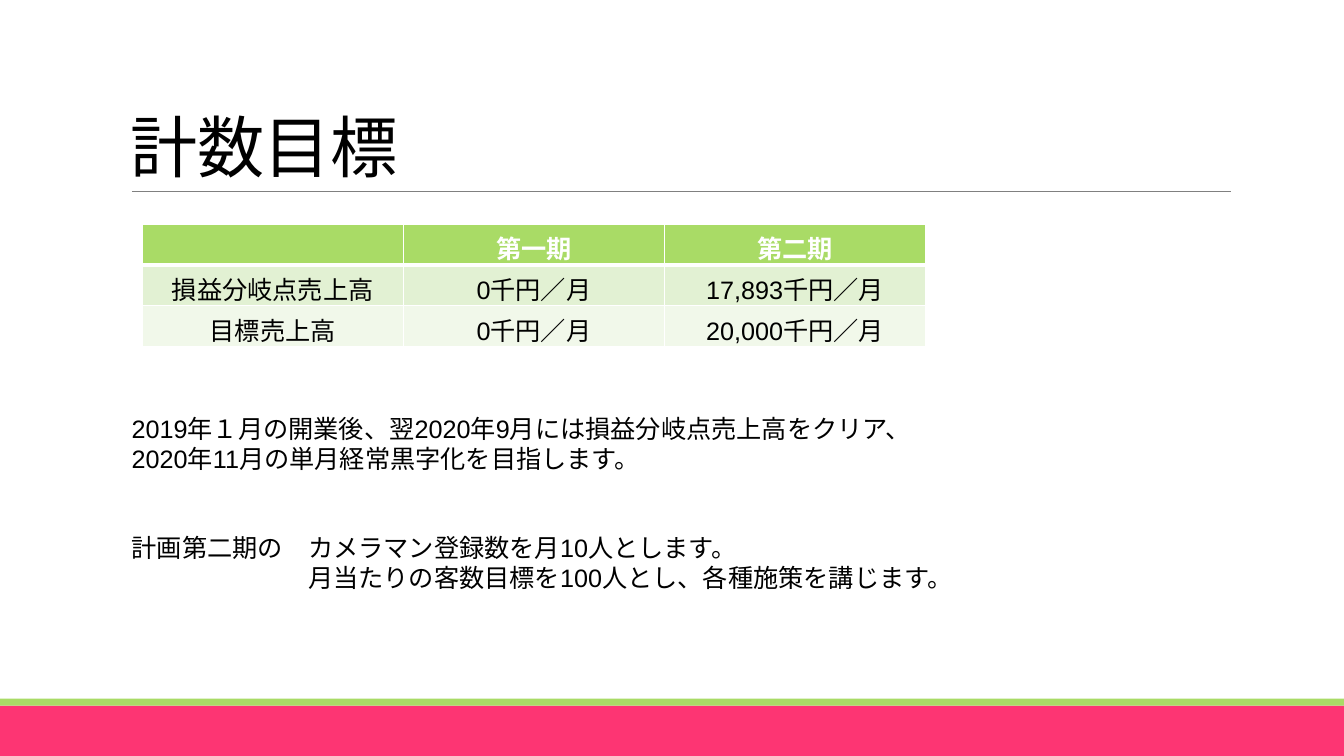
from lxml.etree import SubElement
from pptx import Presentation
from pptx.dml.color import RGBColor
from pptx.enum.lang import MSO_LANGUAGE_ID
from pptx.enum.shapes import MSO_CONNECTOR, MSO_SHAPE
from pptx.enum.text import MSO_ANCHOR, PP_ALIGN
from pptx.oxml.ns import qn
from pptx.util import Pt

WHITE = RGBColor(0xFF, 0xFF, 0xFF)
BLACK = RGBColor(0, 0, 0)
GRAY = RGBColor(0x80, 0x80, 0x80)
PINK = RGBColor(0xFD, 0x35, 0x73)
GREEN = RGBColor(0xA9, 0xDB, 0x66)
ROW_FILLS = [GREEN, RGBColor(0xE2, 0xF1, 0xD3), RGBColor(0xF1, 0xF8, 0xEA)]
WIDTH, HEIGHT = 960, 540
TARGETS = [
    ["", "第一期", "第二期"],
    ["損益分岐点売上高", "0千円／月", "17,893千円／月"],
    ["目標売上高", "0千円／月", "20,000千円／月"],
]


def write(paragraph, text, font="Arial", size=18, color=BLACK, bold=False,
          align=PP_ALIGN.LEFT, line_spacing=1.0, tracking=0, indent=0):
    """Put formatted text into a paragraph."""
    paragraph.alignment = align
    paragraph.line_spacing = line_spacing
    if indent:
        properties = paragraph._p.get_or_add_pPr()
        properties.set("marL", str(Pt(indent)))
        properties.set("indent", "0")
    paragraph.font.size = Pt(size)
    if not text:
        SubElement(paragraph._p, qn("a:endParaRPr"), sz=str(size * 100))
        return
    run = paragraph.add_run()
    run.text = text
    run.font.name = font
    run.font.size = Pt(size)
    run.font.bold = bold
    run.font.color.rgb = color
    run.font.language_id = MSO_LANGUAGE_ID.JAPANESE
    if tracking:
        run._r.get_or_add_rPr().set("spc", str(int(tracking * 100)))


class SlideBuilder:
    """Hold the slide and its shared style, and add elements to it."""

    def __init__(self, slide, border_color=WHITE):
        self.slide = slide
        self.border_color = border_color

    def band(self, top, height, color):
        shape = self.slide.shapes.add_shape(
            MSO_SHAPE.RECTANGLE, 0, Pt(top), Pt(WIDTH), Pt(height))
        shape.shadow.inherit = False
        shape.fill.solid()
        shape.fill.fore_color.rgb = color
        shape.line.fill.background()

    def rule(self, left, right, top):
        line = self.slide.shapes.add_connector(
            MSO_CONNECTOR.STRAIGHT, Pt(left), Pt(top), Pt(right), Pt(top))
        line.line.color.rgb = GRAY
        line.line.width = Pt(0.5)
        SubElement(line._element.spPr, qn("a:effectLst"))

    def text(self, left, top, width, height, lines, anchor=MSO_ANCHOR.TOP,
             indents=(0, 0), **style):
        box = self.slide.shapes.add_textbox(
            Pt(left), Pt(top), Pt(width), Pt(height))
        frame = box.text_frame
        frame.word_wrap = True
        frame.vertical_anchor = anchor
        for index, (line, indent) in enumerate(zip(lines, indents)):
            paragraph = frame.add_paragraph() if index else frame.paragraphs[0]
            write(paragraph, line, indent=indent, **style)

    def border(self, cell, side, width):
        line = SubElement(cell._tc.get_or_add_tcPr(), qn(f"a:ln{side}"),
                          w=str(Pt(width)))
        fill = SubElement(line, qn("a:solidFill"))
        SubElement(fill, qn("a:srgbClr"), val=str(self.border_color))

    def table(self, left, top, column_width, row_height, rows):
        columns = len(rows[0])
        table = self.slide.shapes.add_table(
            len(rows), columns, Pt(left), Pt(top),
            Pt(column_width * columns), Pt(row_height * len(rows))).table
        for row, values in enumerate(rows):
            header = row == 0
            for column, value in enumerate(values):
                cell = table.cell(row, column)
                for side in "LRTB":
                    thick = (header and side == "B") or (row == 1 and side == "T")
                    self.border(cell, side, 3 if thick else 1)
                cell.fill.solid()
                cell.fill.fore_color.rgb = ROW_FILLS[row]
                write(cell.text_frame.paragraphs[0], value, bold=header,
                      color=WHITE if header else BLACK, align=PP_ALIGN.CENTER)


presentation = Presentation()
presentation.slide_width, presentation.slide_height = Pt(WIDTH), Pt(HEIGHT)
builder = SlideBuilder(
    presentation.slides.add_slide(presentation.slide_layouts[6]))

builder.band(504, 36, PINK)
builder.band(499, 5, GREEN)
builder.rule(94.3, 879, 136.6)
builder.text(86.4, 22.6, 792, 114.2, ["計数目標"], anchor=MSO_ANCHOR.BOTTOM,
             font="Calibri", size=48, line_spacing=0.85, tracking=-0.5)
builder.table(101.5, 160, 186.6, 29.2, TARGETS)
builder.text(87, 291.6, 631, 51, [
    "2019年１月の開業後、翌2020年9月には損益分岐点売上高をクリア、",
    "2020年11月の単月経常黒字化を目指します。"])
builder.text(87, 376.6, 631, 51, [
    "計画第二期の　カメラマン登録数を月10人とします。",
    "月当たりの客数目標を100人とし、各種施策を講じます。"], indents=(0, 7 * 18))

presentation.save("out.pptx")
